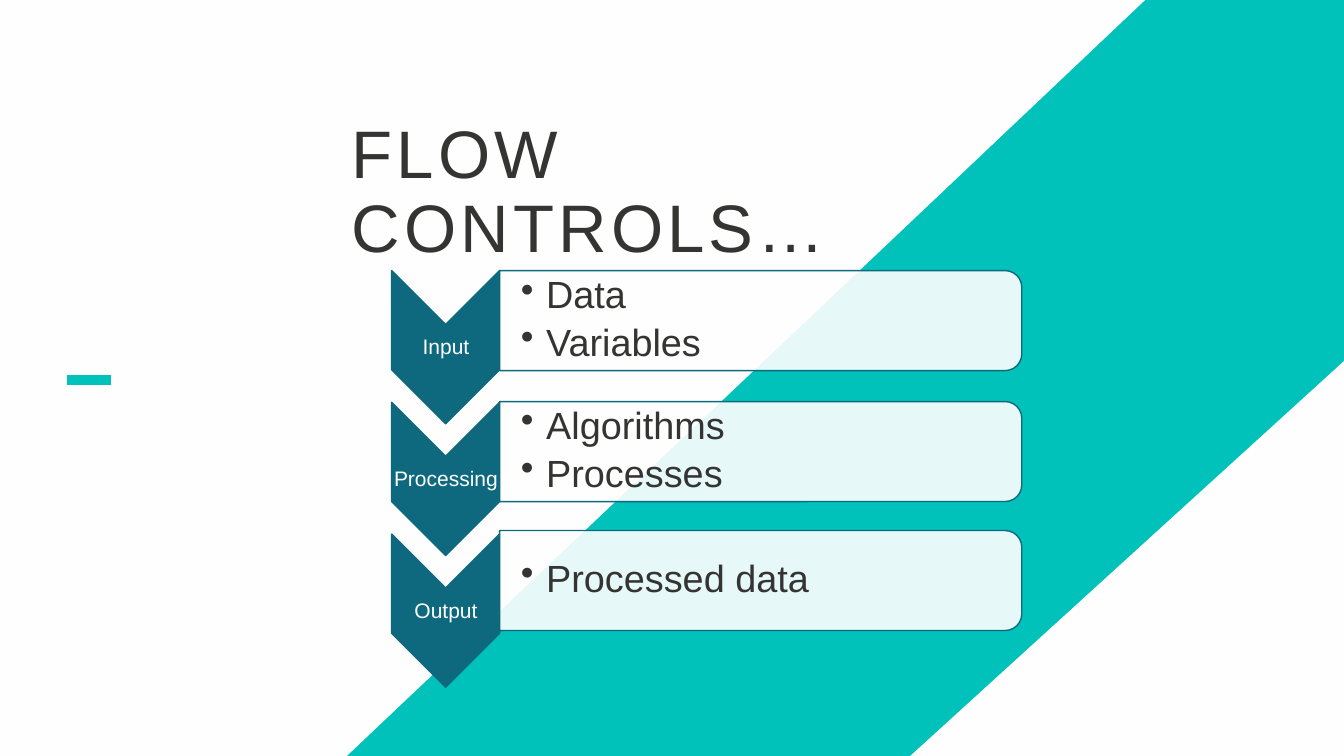
from lxml import etree
from pptx import Presentation
from pptx.dml.color import RGBColor
from pptx.enum.shapes import MSO_CONNECTOR, MSO_SHAPE
from pptx.enum.text import MSO_ANCHOR, PP_ALIGN
from pptx.oxml.ns import qn
from pptx.util import Cm, Pt

CHEVRON, BAR = MSO_SHAPE.CHEVRON, MSO_SHAPE.ROUND_2_SAME_RECTANGLE
STRAIGHT = MSO_CONNECTOR.STRAIGHT
MIDDLE, BOTTOM = MSO_ANCHOR.MIDDLE, MSO_ANCHOR.BOTTOM
LEFT, CENTER = PP_ALIGN.LEFT, PP_ALIGN.CENTER

# Content: stage, points, top of its bar before turning (cm)
TITLE = "FLOW CONTROLS…"
STAGES = [
    ("Input", ["Data", "Variables"], 1.5),
    ("Processing", ["Algorithms", "Processes"], 4.8),
    ("Output", ["Processed data"], 8.05),
]
TEAL, DEEP, WHITE, DARK = "00C2BB", "0E697F", "FFFEFE", "343433"

# Layout (cm)
WIDE, HIGH = 33.87, 19.05
PANELS = [
    [(28.86, 0), (8.74, HIGH), (0, HIGH), (0, 0)],
    [(WIDE, 9.1), (22.94, HIGH), (WIDE, HIGH)],
]
DASH = (1.7, 9.58, 2.79, 9.58)
HEAD_BOX = (8.61, 5.18, 16.59, 1.78)
ARROW_TOP, STEP = 7.39, 3.32
LABEL_DROP, TEXT_DROP = 0.79, 5.44
INDENT = 0.635

# Text formats; margins run left, top, right, bottom (cm)
HEAD = {"size": 48, "color": DARK, "anchor": BOTTOM, "margins": (0.25,) * 4,
        "para": {"alignment": LEFT, "line_spacing": Pt(53)}}
LABEL = {"size": 15, "color": WHITE, "anchor": MIDDLE, "margins": (0.03,) * 4,
         "para": {"alignment": CENTER, "line_spacing": 0.9,
                  "space_after": Pt(5)}}
POINT = {"size": 27, "color": DARK, "anchor": MIDDLE,
         "margins": (0.53, 0.05, 0.05, 0.05), "bullet": True,
         "para": {"alignment": LEFT, "line_spacing": 0.9,
                  "space_after": Pt(5)}}


def cms(values):
    return [Cm(v) for v in values]


def paint(fill, code):
    fill.solid()
    fill.fore_color.rgb = RGBColor.from_string(code)


def add_bullet(para):
    props = para._p.get_or_add_pPr()
    props.set("marL", str(Cm(INDENT)))
    props.set("indent", str(-Cm(INDENT)))
    etree.SubElement(props, qn("a:buChar")).set("char", "•")


def add_text(slide, box, lines, form):
    frame = slide.shapes.add_textbox(*cms(box)).text_frame
    frame.word_wrap = True
    frame.vertical_anchor = form["anchor"]
    for side, gap in zip(("left", "top", "right", "bottom"), form["margins"]):
        setattr(frame, "margin_" + side, Cm(gap))
    for i, line in enumerate(lines):
        para = frame.add_paragraph() if i else frame.paragraphs[0]
        for name, value in form["para"].items():
            setattr(para, name, value)
        if form.get("bullet"):
            add_bullet(para)
        run = para.add_run()
        run.text = line
        run.font.name, run.font.size = "Arial", Pt(form["size"])
        paint(run.font.fill, form["color"])
    return frame


def add_turned(slide, kind, box, code):
    shape = slide.shapes.add_shape(kind, *cms(box))
    shape.rotation = 90
    shape.shadow.inherit = False
    paint(shape.fill, code)
    paint(shape.line.fill, DEEP)
    shape.line.width = Pt(1)
    return shape


def add_back(slide):
    paint(slide.background.fill, TEAL)
    for start, *rest in PANELS:
        outline = slide.shapes.build_freeform(*cms(start))
        outline.add_line_segments([cms(p) for p in rest], close=True)
        panel = outline.convert_to_shape()
        panel.shadow.inherit = False
        paint(panel.fill, WHITE)
        panel.line.fill.background()
    dash = slide.shapes.add_connector(STRAIGHT, *cms(DASH))
    paint(dash.line.fill, TEAL)
    dash.line.width = Pt(6.75)
    etree.SubElement(dash._element.spPr, qn("a:effectLst"))


def add_stage(slide, top, name, points, bar_top):
    add_turned(slide, CHEVRON, (9.3, top, 3.86, 2.72), DEEP)
    add_text(slide, (9.88, top + LABEL_DROP, 2.72, 1.17), [name], LABEL)
    bar = add_turned(slide, BAR, (17.91, bar_top, 2.52, 13.16), WHITE)
    tint = bar._element.spPr.find(qn("a:solidFill"))[0]
    etree.SubElement(tint, qn("a:alpha")).set("val", "90000")
    add_text(slide, (12.6, bar_top + TEXT_DROP, 13.06, 2.26), points, POINT)


def main():
    deck = Presentation()
    deck.slide_width, deck.slide_height = Cm(WIDE), Cm(HIGH)
    slide = deck.slides.add_slide(deck.slide_layouts[6])
    add_back(slide)

    # Title with wide letter spacing
    head = add_text(slide, HEAD_BOX, [TITLE], HEAD)
    head.paragraphs[0].runs[0].font._element.set("spc", "300")

    # Stages
    for i, stage in enumerate(STAGES):
        add_stage(slide, ARROW_TOP + i * STEP, *stage)
    deck.save("out.pptx")


if __name__ == "__main__":
    main()
